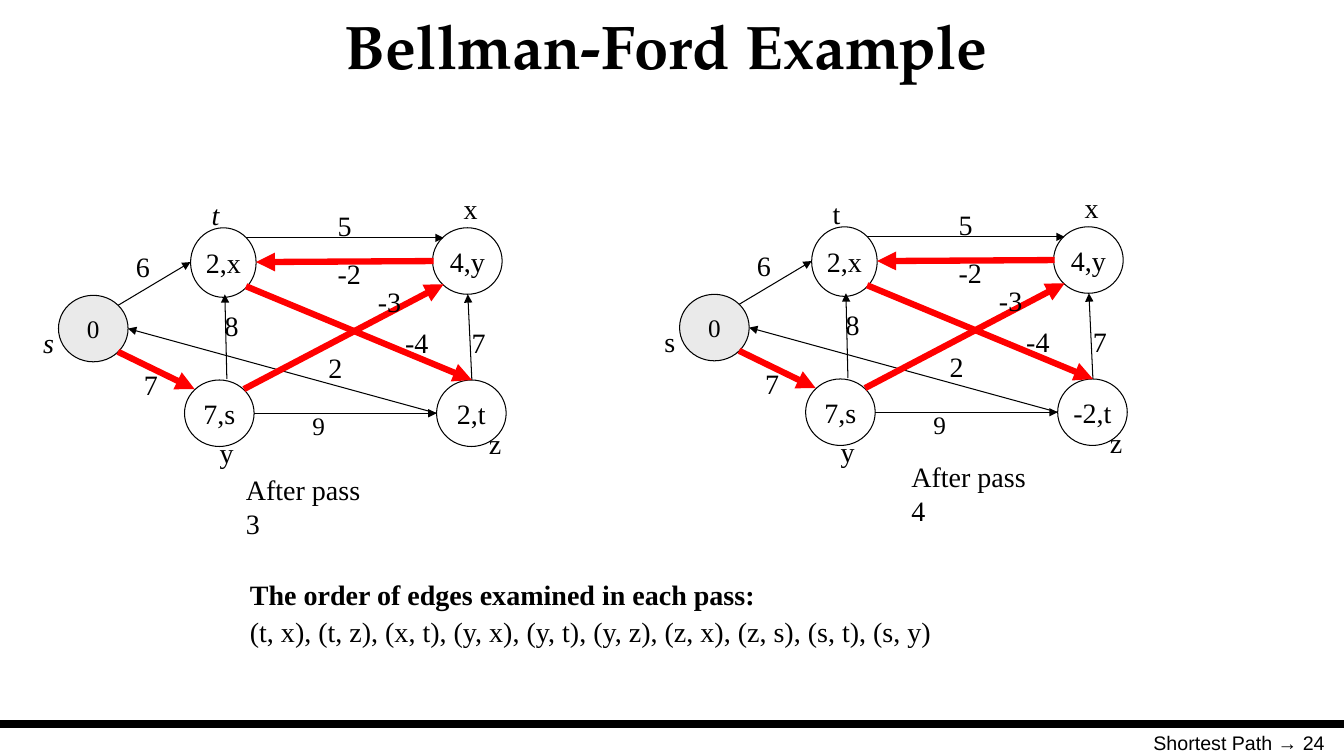
from lxml import etree
from pptx import Presentation
from pptx.dml.color import RGBColor
from pptx.enum import shapes, text
from pptx.oxml import ns
from pptx.util import Inches, Pt

BLACK, RED, WHITE, GREY = "000000", "FF0000", "FFFFFF", "EAEAEA"
LEFT, CENTER, RIGHT = text.PP_ALIGN.LEFT, text.PP_ALIGN.CENTER, text.PP_ALIGN.RIGHT


def write(frame, words, size=20, font="Times New Roman", bold=False, italic=False,
          align=LEFT, anchor=text.MSO_ANCHOR.TOP, wrap=False, spacing=None):
    frame.word_wrap = wrap
    frame.vertical_anchor = anchor
    paragraph = frame.paragraphs[0]
    paragraph.alignment = align
    paragraph.line_spacing = spacing
    for number, line in enumerate(words.split("\n")):
        if number:
            paragraph.add_line_break()
        run = paragraph.add_run()
        run.text = line
        run.font.size, run.font.name = Pt(size), font
        run.font.bold, run.font.italic = bold, italic
        run.font.color.rgb = RGBColor.from_string(BLACK)
    return paragraph


def connect(parent, start, end, color=BLACK, width=0.75, arrow=True):
    line = parent.add_connector(shapes.MSO_CONNECTOR.STRAIGHT,
                                *[Inches(v) for v in (*start, *end)])
    line.line.color.rgb = RGBColor.from_string(color)
    line.line.width = Pt(width)
    if arrow:
        etree.SubElement(line.line._get_or_add_ln(), ns.qn("a:tailEnd"), type="triangle")
    etree.SubElement(line._element.spPr, ns.qn("a:effectLst"))


deck = Presentation()
deck.slide_width, deck.slide_height = Inches(13.33), Inches(7.5)
slide = deck.slides.add_slide(deck.slide_layouts[6])

connect(slide.shapes, (0, 7.18), (13.33, 7.18), width=6, arrow=False)

captions = [
    ((9.58, 7.2, 3.66, 0.52), "Shortest Path → 24",
     dict(size=14, font="Arial", align=RIGHT, wrap=True)),
    ((1.66, 0, 9.9, 0.9), "Bellman-Ford Example",
     dict(size=44, font="TeX Gyre Pagella", bold=True, align=CENTER,
          anchor=text.MSO_ANCHOR.MIDDLE, wrap=True)),
    ((2.34, 4.64, 1.54, 0.44), "After pass 3", {}),
    ((8.94, 4.51, 1.54, 0.44), "After pass 4", {}),
]
for place, words, style in captions:
    caption = slide.shapes.add_textbox(*[Inches(v) for v in place])
    write(caption.text_frame, words, **style)

edge_order = slide.shapes.add_textbox(Inches(2.38), Inches(5.65), Inches(7.75), Inches(0.84))
order_lines = write(
    edge_order.text_frame,
    "The order of edges examined in each pass:\n"
    "(t, x), (t, z), (x, t), (y, x), (y, t), (y, z), (z, x), (z, s), (s, t), (s, y)",
    bold=True, wrap=True, spacing=1.1)
order_lines.runs[1].font.bold = False

nodes = [
    ("t", 1.89, 2.26, 0.65, 0.69),
    ("y", 1.83, 3.77, 0.69, 0.66),
    ("x", 4.29, 2.26, 0.69, 0.66),
    ("s", 0.58, 2.93, 0.69, 0.66),
    ("z", 4.33, 3.77, 0.69, 0.66),
]
edges = [
    ((2.44, 2.36), (4.4, 2.36)),
    ((2.52, 4.1), (4.33, 4.1)),
    ((1.17, 3.03), (1.89, 2.6)),
    ((4.68, 3.77), (4.64, 2.92)),
    ((4.33, 4.1), (1.27, 3.26)),
    ((2.25, 3.76), (2.23, 2.92)),
]
tree_edges = [
    ((2.42, 3.86), (4.4, 2.82)),
    ((1.17, 3.49), (1.93, 3.86)),
    ((2.44, 2.84), (4.68, 3.77)),
    ((4.3, 2.59), (2.54, 2.6)),
]
labels = [
    ("6", 1.25, 2.43, 0.34), ("7", 1.33, 3.6, 0.34), ("9", 3, 4.02, 0.32),
    ("5", 3.25, 2.02, 0.34), ("-3", 3.65, 2.77, 0.43), ("8", 2.13, 3.01, 0.34),
    ("7", 4.58, 3.18, 0.34), ("-4", 3.92, 3.18, 0.43), ("2", 3.16, 3.43, 0.33),
    ("-2", 3.25, 2.5, 0.43), ("s", 0.33, 3.18, 0.31), ("y", 2.08, 4.27, 0.34),
    ("z", 4.75, 4.18, 0.32), ("x", 4.5, 1.85, 0.31), ("t", 2, 1.91, 0.27),
]
distances = {"s": "0", "t": "2,x", "x": "4,y", "y": "7,s"}
passes = [(0, 0, "2,t", "st"), (6.16, -0.01, "-2,t", "")]

for dx, dy, z_distance, italic_names in passes:
    graph = slide.shapes.add_group_shape().shapes
    values = {**distances, "z": z_distance}
    for name, x, y, width, height in nodes:
        node = graph.add_shape(shapes.MSO_SHAPE.OVAL, Inches(x + dx), Inches(y + dy),
                               Inches(width), Inches(height))
        node.shadow.inherit = False
        node.fill.solid()
        node.fill.fore_color.rgb = RGBColor.from_string(GREY if name == "s" else WHITE)
        node.line.color.rgb = RGBColor.from_string(BLACK)
        node.line.width = Pt(0.75)
        write(node.text_frame, values[name], size=18 if name == "s" else 20,
              align=CENTER, anchor=text.MSO_ANCHOR.MIDDLE)
    for group, color, weight in ((edges, BLACK, 0.75), (tree_edges, RED, 4.5)):
        for (x1, y1), (x2, y2) in group:
            connect(graph, (x1 + dx, y1 + dy), (x2 + dx, y2 + dy), color, weight)
    for words, x, y, width in labels:
        small = words == "9"
        label = graph.add_textbox(Inches(x + dx), Inches(y + dy), Inches(width),
                                  Inches(0.4 if small else 0.44))
        write(label.text_frame, words, size=18 if small else 20,
              italic=words in list(italic_names))

deck.save("out.pptx")
